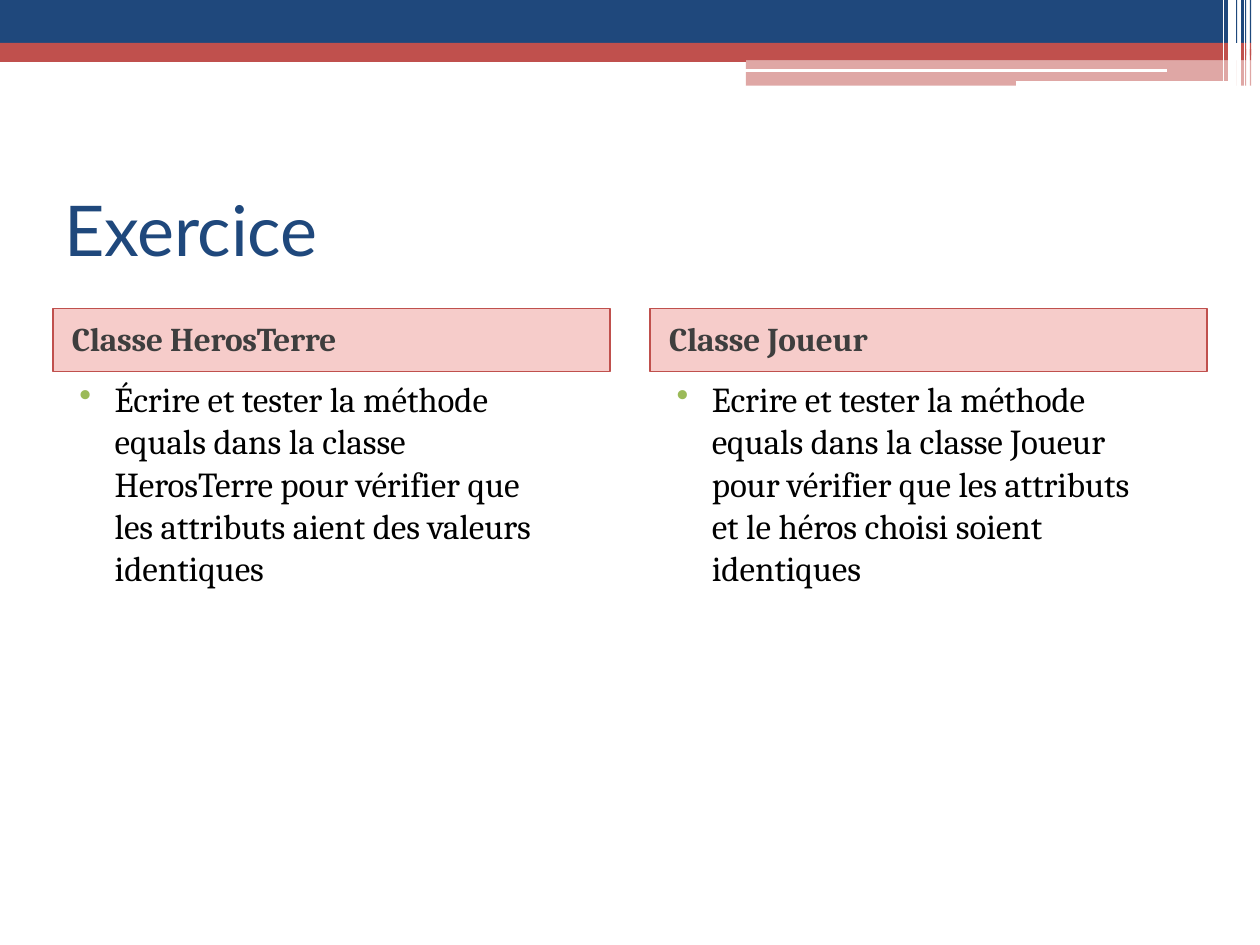
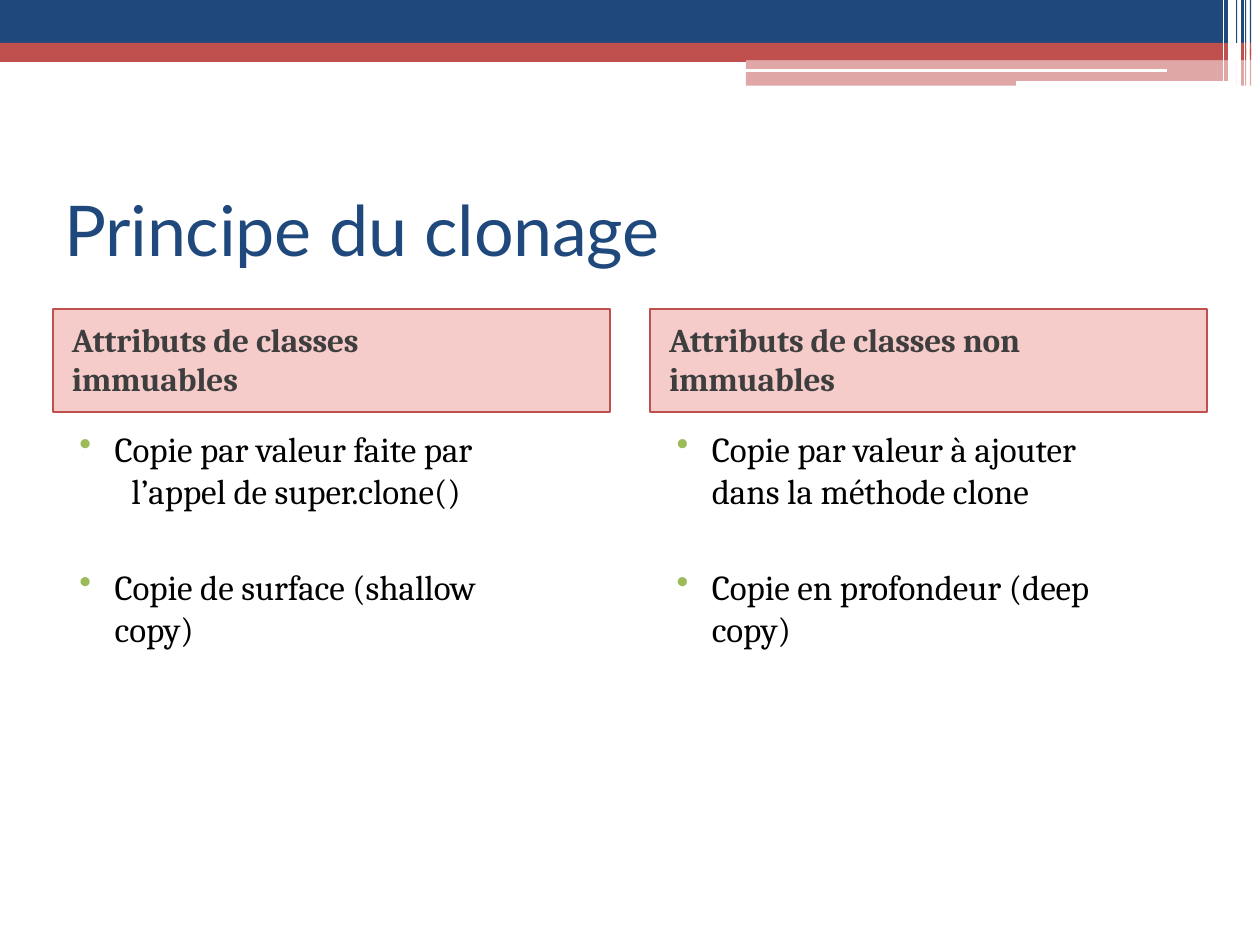
from lxml import etree
from pptx import Presentation
from pptx.dml.color import RGBColor
from pptx.enum.shapes import MSO_CONNECTOR, MSO_SHAPE
from pptx.enum.text import MSO_ANCHOR, PP_ALIGN
from pptx.oxml.ns import qn
from pptx.util import Inches, Pt

RECT, STRAIGHT = MSO_SHAPE.RECTANGLE, MSO_CONNECTOR.STRAIGHT
LEFT, CENTER, TOP = PP_ALIGN.LEFT, PP_ALIGN.CENTER, MSO_ANCHOR.TOP

# Content: a paragraph is (style, text)
SLIDES = [
    {"title": "Exercice", "title_w": 2.14, "head_h": 0.5, "body_y": 2.99, "body_h": 1.7,
     "columns": [
         {"head": "Classe HerosTerre", "body_w": 3.85, "body": [
             ("bullet", "Écrire et tester la méthode equals dans la classe HerosTerre "
                        "pour vérifier que les attributs aient des valeurs identiques")]},
         {"head": "Classe Joueur", "body_w": 3.85, "body": [
             ("bullet", "Ecrire et tester la méthode equals dans la classe Joueur pour "
                        "vérifier que les attributs et le héros choisi soient identiques")]},
     ]},
    {"title": "Principe du clonage", "title_w": 4.9, "head_h": 0.82, "body_y": 3.38, "body_h": 1.78,
     "columns": [
         {"head": "Attributs de classes immuables", "body_w": 3.43, "body": [
             ("bullet", "Copie par valeur faite par"),
             ("centred", "l’appel de super.clone()"),
             ("spaced", "Copie de surface (shallow copy)")]},
         {"head": "Attributs de classes non immuables", "body_w": 3.6, "body": [
             ("bullet", "Copie par valeur à ajouter dans la méthode clone"),
             ("spaced", "Copie en profondeur (deep copy)")]},
     ]},
]

# Theme
THEME = {
    "blue": "1F487C", "red": "C0504D", "white": "FFFFFF", "head_fill": "DD352F", "bullet": "9BBA58",
    "title": {"name": "Lato", "size": Pt(40), "color": "1F487C"},
    "head": {"name": "Cambria", "size": Pt(19), "bold": True, "color": "3E3E3E"},
    "body": {"name": "Cambria", "size": Pt(20), "color": "000000"},
}
# Paragraph styles: left margin, first-line indent (inches), space before (points)
PARAGRAPHS = {
    "title": {"margin": 0.01, "indent": 0, "before": 0.9, "align": LEFT},
    "head": {"margin": 0.15, "indent": 0, "before": 6, "align": LEFT},
    "bullet": {"margin": 0.29, "indent": -0.28, "before": 1.1, "align": LEFT},
    "spaced": {"margin": 0.29, "indent": -0.28, "before": 31, "align": LEFT},
    "centred": {"margin": 0.03, "indent": 0, "before": 0.1, "align": CENTER},
}

# Grid (inches)
WIDTH, HEIGHT = 10, 7.5
TITLE_X, TITLE_Y, TITLE_H = 0.5, 1.47, 0.69
HEAD_X, HEAD_Y, HEAD_W, COL_STEP = 0.42, 2.45, 4.42, 4.74
BODY_SHIFT = 0.2

# Top band: rows of (colour, opacity %, top, bottom, [(left, right), ...])
TICKS = [(9.85, 9.89), (9.92, 9.93)]
BANDS = [
    ("blue", 100, 0, 0.34, [(0, 9.75), (9.81, 9.82), *TICKS]),
    ("red", 100, 0.34, 0.44, [(0, 9.75), *TICKS]),
    ("red", 100, 0.39, 0.48, [(5.92, 9.75), *TICKS]),
    ("red", 50, 0.48, 0.68, [(5.92, 9.81), *TICKS]),
]
# Rules: (colour, width in points, x1, y1, x2, y2)
RED_RULE = ("red", 4.08, 0, 0.46, 5.92, 0.46)
WHITE_RULES = [
    ("white", 2.16, 5.91, 0.56, 9.26, 0.56),
    ("white", 2.88, 8.06, 0.66, 9.81, 0.66),
    ("white", 0.72, 9.88, 0, 9.88, 0.68),
    ("white", 4.32, 9.78, 0, 9.78, 0.64),
    ("white", 0.72, 9.71, 0, 9.71, 0.64),
]


def rgb(name):
    return RGBColor.from_string(THEME.get(name, name))


def add_rect(s, box, fill, opacity=100):
    sp = s.shapes.add_shape(RECT, *map(Inches, box))
    sp.shadow.inherit = False
    sp.fill.solid()
    sp.fill.fore_color.rgb = rgb(fill)
    sp.line.fill.background()
    if opacity < 100:
        color = sp.fill._xPr.find(qn("a:solidFill"))[0]
        etree.SubElement(color, qn("a:alpha")).set("val", str(opacity * 1000))
    return sp


def add_rule(s, color, width, *ends):
    ln = s.shapes.add_connector(STRAIGHT, *map(Inches, ends))
    ln.line.color.rgb = rgb(color)
    ln.line.width = Pt(width)
    etree.SubElement(ln._element.spPr, qn("a:effectLst"))


def add_bullet(pPr):
    color = etree.SubElement(pPr, qn("a:buClr"))
    etree.SubElement(color, qn("a:srgbClr")).set("val", THEME["bullet"])
    etree.SubElement(pPr, qn("a:buChar")).set("char", "•")


def write(sp, font, paragraphs, top=0.01, right=0):
    tf = sp.text_frame
    frame = {"word_wrap": True, "vertical_anchor": TOP, "margin_left": 0, "margin_bottom": 0,
             "margin_top": Inches(top), "margin_right": Inches(right)}
    for key, value in frame.items():
        setattr(tf, key, value)
    for i, (style, text) in enumerate(paragraphs):
        p = tf.add_paragraph() if i else tf.paragraphs[0]
        look = PARAGRAPHS[style]
        p.alignment = look["align"]
        p.space_before = Pt(look["before"])
        pPr = p._p.get_or_add_pPr()
        pPr.set("marL", str(Inches(look["margin"])))
        pPr.set("indent", str(Inches(look["indent"])))
        if look["indent"]:
            add_bullet(pPr)
        r = p.add_run()
        r.text = text
        for key, value in THEME[font].items():
            if key == "color":
                r.font.color.rgb = rgb(value)
            else:
                setattr(r.font, key, value)
        r._r.get_or_add_rPr().set("spc", "-10" if font != "body" else "-5")


def add_text(s, box, font, paragraphs):
    write(s.shapes.add_textbox(*map(Inches, box)), font, paragraphs)


def add_band(s):
    add_rule(s, *RED_RULE)
    for color, opacity, top, bottom, spans in BANDS:
        for left, right in spans:
            add_rect(s, (left, top, right - left, bottom - top), color, opacity)
    for rule in WHITE_RULES:
        add_rule(s, *rule)


def add_column(s, i, column, page):
    x = HEAD_X + i * COL_STEP
    head = add_rect(s, (x, HEAD_Y, HEAD_W, page["head_h"]), "head_fill", 25)
    head.line.color.rgb = rgb("red")
    head.line.width = Pt(0.96)
    write(head, "head", [("head", column["head"])], top=0.08, right=0.9)
    box = (x + BODY_SHIFT, page["body_y"], column["body_w"], page["body_h"])
    add_text(s, box, "body", column["body"])


def main():
    prs = Presentation()
    prs.slide_width, prs.slide_height = Inches(WIDTH), Inches(HEIGHT)
    for page in SLIDES:
        s = prs.slides.add_slide(prs.slide_layouts[6])
        add_band(s)
        add_text(s, (TITLE_X, TITLE_Y, page["title_w"], TITLE_H), "title", [("title", page["title"])])
        for i, column in enumerate(page["columns"]):
            add_column(s, i, column, page)
    prs.save("out.pptx")


if __name__ == "__main__":
    main()
